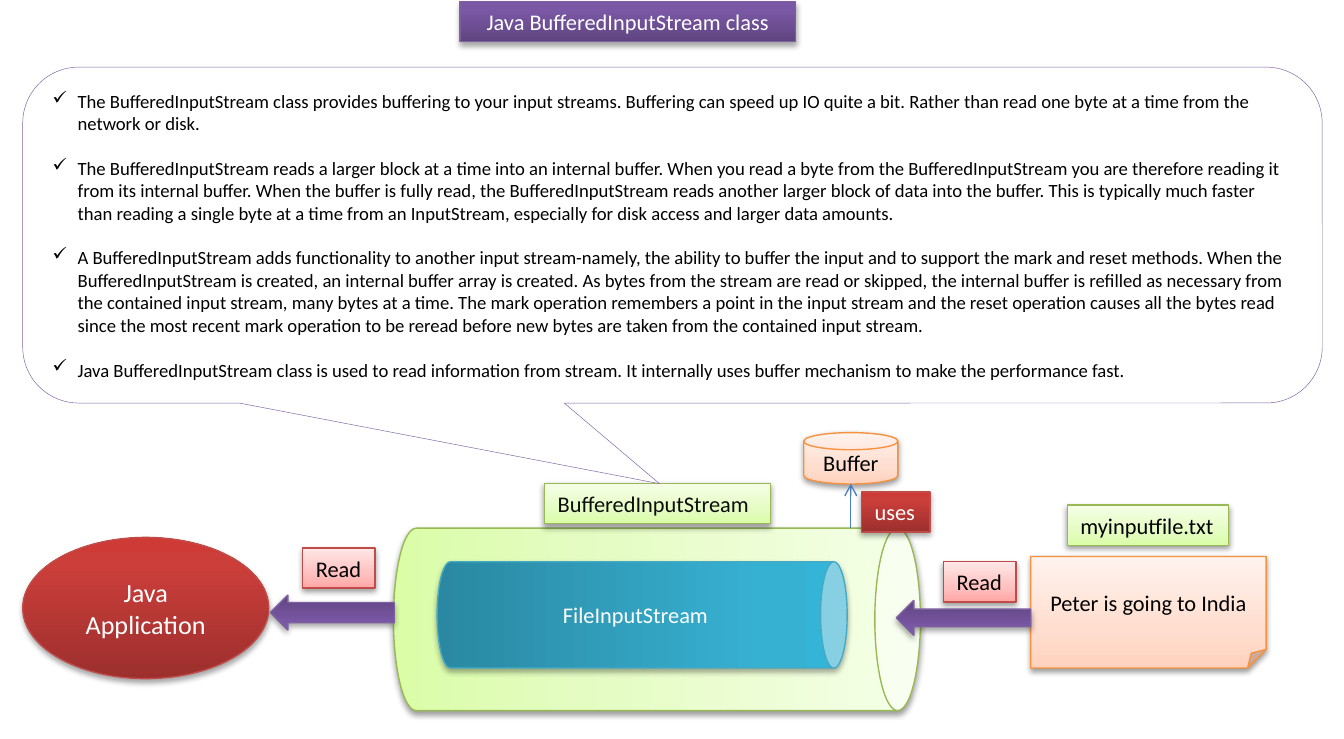
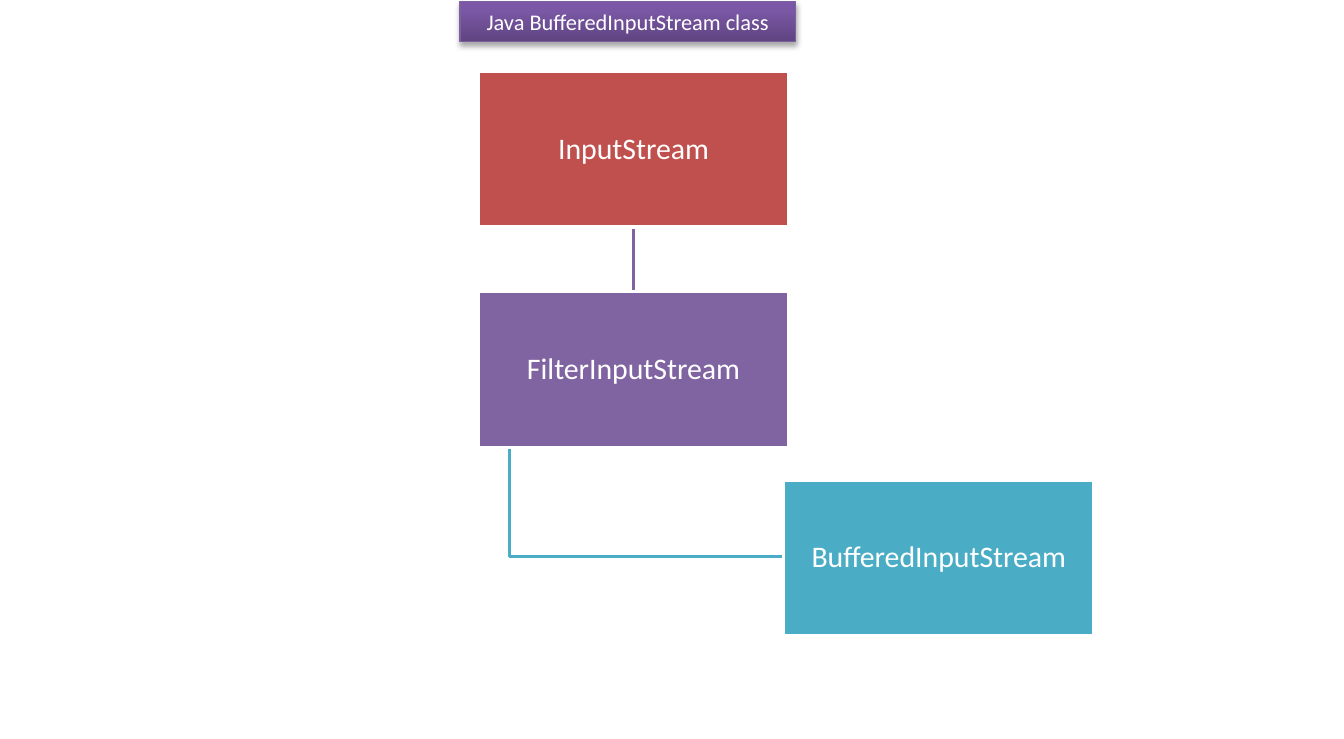
from copy import deepcopy
from lxml.etree import SubElement
from pptx import Presentation
from pptx.dml.color import RGBColor
from pptx.enum.shapes import MSO_CONNECTOR, MSO_SHAPE
from pptx.enum.text import MSO_ANCHOR, MSO_AUTO_SIZE, PP_ALIGN
from pptx.oxml.ns import qn
from pptx.util import Cm, Pt

BLACK = RGBColor(0x00, 0x00, 0x00)
INK = RGBColor(0x0D, 0x0D, 0x0D)
WHITE = RGBColor(0xFF, 0xFF, 0xFF)
RED = RGBColor(0xC0, 0x50, 0x4D)
PURPLE = RGBColor(0x80, 0x64, 0xA2)
TEAL = RGBColor(0x4B, 0xAC, 0xC6)
BLUE = RGBColor(0x4B, 0x7E, 0xBC)

DEEP = {"stops": (0, 0.8, 1), "ink": WHITE, "alpha": 35, "dist": 23000}
PALE = {"stops": (0, 0.35, 1), "ink": BLACK, "alpha": 38, "dist": 20000}
PLUM = (DEEP, "5F4480", "7B58A6", "7C57A8", "7D60A0")
BRICK = (DEEP, "9C2F2D", "CB3E3A", "CE3B37", "BF4C48")
SEA = (DEEP, "2A88A2", "37B1D2", "34B4D6", "46AAC5")
PEACH = (PALE, "FFD2BD", "FFDED0", "FFF2ED", "F69240")
LIME = (PALE, "DAFDA7", "E4FCC2", "F5FFE7", "98B955")
ROSE = (PALE, "FFA6A5", "FFC0BF", "FFE7E7", "BF4C48")


def dress(shape, tone):
    look, *shades, edge = tone
    shape.fill.gradient()
    shape.fill.gradient_angle = 90
    stops = shape._element.spPr.find(qn("a:gradFill")).find(qn("a:gsLst"))
    stops.append(deepcopy(stops[0]))
    for stop, place, shade in zip(shape.fill.gradient_stops, look["stops"], shades):
        stop.position = place
        stop.color.rgb = RGBColor.from_string(shade)
    shape.line.color.rgb = RGBColor.from_string(edge)
    shape.line.width = Pt(0.75)
    shape.shadow.inherit = False
    effects = shape._element.spPr.find(qn("a:effectLst"))
    shadow = SubElement(effects, qn("a:outerShdw"), blurRad="40000",
                        dist=str(look["dist"]), dir="5400000", rotWithShape="0")
    color = SubElement(shadow, qn("a:srgbClr"), val="000000")
    SubElement(color, qn("a:alpha"), val=str(look["alpha"] * 1000))


def write(shape, text, size, ink, align=PP_ALIGN.CENTER):
    frame = shape.text_frame
    frame.text = text
    frame.word_wrap = True
    frame.vertical_anchor = MSO_ANCHOR.MIDDLE
    for para in frame.paragraphs:
        para.alignment = align
        for run in para.runs:
            run.font.name = "Calibri"
            run.font.size = Pt(size)
            run.font.color.rgb = ink


deck = Presentation()
deck.slide_width = Cm(25.4)
deck.slide_height = Cm(13.97)

slides = []
for _ in range(2):
    slide = deck.slides.add_slide(deck.slide_layouts[5])
    title = slide.shapes.title
    title.left, title.top, title.width, title.height = Cm(8.69), Cm(0.03), Cm(6.35), Cm(0.76)
    dress(title, PLUM)
    write(title, "Java BufferedInputStream class", 12, WHITE)
    title.text_frame.auto_size = MSO_AUTO_SIZE.NONE
    slides.append(slide)
flow, tree = slides

parts = [
    (MSO_SHAPE.FOLDED_CORNER, 19.48, 10.52, 4.45, 2.11, 0, PEACH, "Peter is going to India", 12),
    (MSO_SHAPE.OVAL, 0.43, 10.16, 4.65, 2.67, 0, BRICK, "Java Application", 14),
    (MSO_SHAPE.CAN, 10.69, 6.73, 3.45, 9.96, 90, LIME, "", 12),
    (MSO_SHAPE.CAN, 11.13, 7.75, 2.01, 7.75, 90, SEA, "FileInputStream", 12),
    (MSO_SHAPE.FLOWCHART_MAGNETIC_DISK, 15.19, 8.18, 1.78, 0.97, 0, PEACH, "Buffer", 12),
    (MSO_SHAPE.RIGHT_ARROW, 16.94, 11.35, 2.54, 0.66, 180, PLUM, "", 12),
    (MSO_SHAPE.RIGHT_ARROW, 5.11, 11.25, 2.34, 0.66, 180, PLUM, "", 12),
]
for kind, left, top, width, height, turn, tone, text, size in parts:
    part = flow.shapes.add_shape(kind, Cm(left), Cm(top), Cm(width), Cm(height))
    part.rotation = turn
    dress(part, tone)
    if text:
        write(part, text, size, tone[0]["ink"])
    if turn == 90:
        part.text_frame._txBody.bodyPr.set("vert", "vert270")
part.adjustments[0] = 0.58

link = flow.shapes.add_connector(MSO_CONNECTOR.STRAIGHT, Cm(16.08), Cm(9.98), Cm(16.08), Cm(9.14))
link.line.color.rgb = BLUE
link.line.width = Pt(0.75)
SubElement(link.line._get_or_add_ln(), qn("a:tailEnd"), type="arrow")
SubElement(link._element.spPr, qn("a:effectLst"))

labels = [
    ("myinputfile.txt", 20.17, 9.55, 3.05, LIME, BLACK),
    ("BufferedInputStream", 10.29, 9.14, 4.27, LIME, INK),
    ("Read", 17.83, 10.62, 1.37, ROSE, BLACK),
    ("Read", 5.72, 10.36, 1.37, ROSE, BLACK),
    ("uses", 16.28, 9.3, 1.3, BRICK, WHITE),
]
for text, left, top, width, tone, ink in labels:
    label = flow.shapes.add_shape(MSO_SHAPE.RECTANGLE, Cm(left), Cm(top), Cm(width), Cm(0.76))
    dress(label, tone)
    write(label, text, 12, ink, PP_ALIGN.LEFT)
    label.text_frame.word_wrap = False

points = [
    "The BufferedInputStream class provides buffering to your input streams. Buffering can speed up IO quite a bit. "
    "Rather than read one byte at a time from the network or disk.",
    "The BufferedInputStream reads a larger block at a time into an internal buffer. When you read a byte from "
    "the BufferedInputStream you are therefore reading it from its internal buffer. When the buffer is fully read, "
    "the BufferedInputStream reads another larger block of data into the buffer. This is typically much faster than "
    "reading a single byte at a time from an InputStream, especially for disk access and larger data amounts.",
    "A BufferedInputStream adds functionality to another input stream-namely, the ability to buffer the input and to "
    "support the mark and reset methods. When the BufferedInputStream is created, an internal buffer array is created. "
    "As bytes from the stream are read or skipped, the internal buffer is refilled as necessary from the contained "
    "input stream, many bytes at a time. The mark operation remembers a point in the input stream and the reset "
    "operation causes all the bytes read since the most recent mark operation to be reread before new bytes are taken "
    "from the contained input stream.",
    "Java BufferedInputStream class is used to read information from stream. It internally uses buffer mechanism to "
    "make the performance fast.",
]
bubble = flow.shapes.add_shape(MSO_SHAPE.ROUNDED_RECTANGULAR_CALLOUT, Cm(0.43), Cm(1.27), Cm(24.56), Cm(6.35))
bubble.adjustments[0] = -0.01
bubble.adjustments[1] = 0.74
bubble.shadow.inherit = False
bubble.fill.solid()
bubble.fill.fore_color.rgb = WHITE
bubble.line.color.rgb = PURPLE
bubble.line.width = Pt(0.25)
write(bubble, "\n".join(points), 10, BLACK, PP_ALIGN.LEFT)
for rank, para in enumerate(bubble.text_frame.paragraphs):
    para.space_before = Pt(12 if rank else 0)
    props = para._p.get_or_add_pPr()
    props.set("marL", str(Cm(0.48)))
    props.set("indent", str(-Cm(0.48)))
    SubElement(props, qn("a:buChar"), char="✓")

pen = tree.shapes.build_freeform(Cm(9.63), Cm(8.46))
pen.add_line_segments([(Cm(9.63), Cm(10.52)), (Cm(14.81), Cm(10.52))], close=False)
bend = pen.convert_to_shape()
bend.fill.background()
bend.shadow.inherit = False
stem = tree.shapes.add_connector(MSO_CONNECTOR.STRAIGHT, Cm(11.96), Cm(4.3), Cm(11.96), Cm(5.51))
SubElement(stem._element.spPr, qn("a:effectLst"))
for line, color in ((bend.line, TEAL), (stem.line, PURPLE)):
    line.color.rgb = color
    line.width = Pt(2)

nodes = []
for text, left, top, color in (
    ("InputStream", 9.04, 1.35, RED),
    ("FilterInputStream", 9.04, 5.51, PURPLE),
    ("BufferedInputStream", 14.81, 9.07, TEAL),
):
    node = tree.shapes.add_shape(MSO_SHAPE.RECTANGLE, Cm(left), Cm(top), Cm(5.87), Cm(2.95))
    node.shadow.inherit = False
    node.fill.solid()
    node.fill.fore_color.rgb = color
    node.line.color.rgb = WHITE
    node.line.width = Pt(2)
    write(node, text, 16, WHITE)
    frame = node.text_frame
    frame.margin_left = frame.margin_right = frame.margin_top = frame.margin_bottom = Cm(0.03)
    frame.paragraphs[0].line_spacing = 0.9
    nodes.append(node)
stem.begin_connect(nodes[0], 2)
stem.end_connect(nodes[1], 0)

deck.save("out.pptx")
